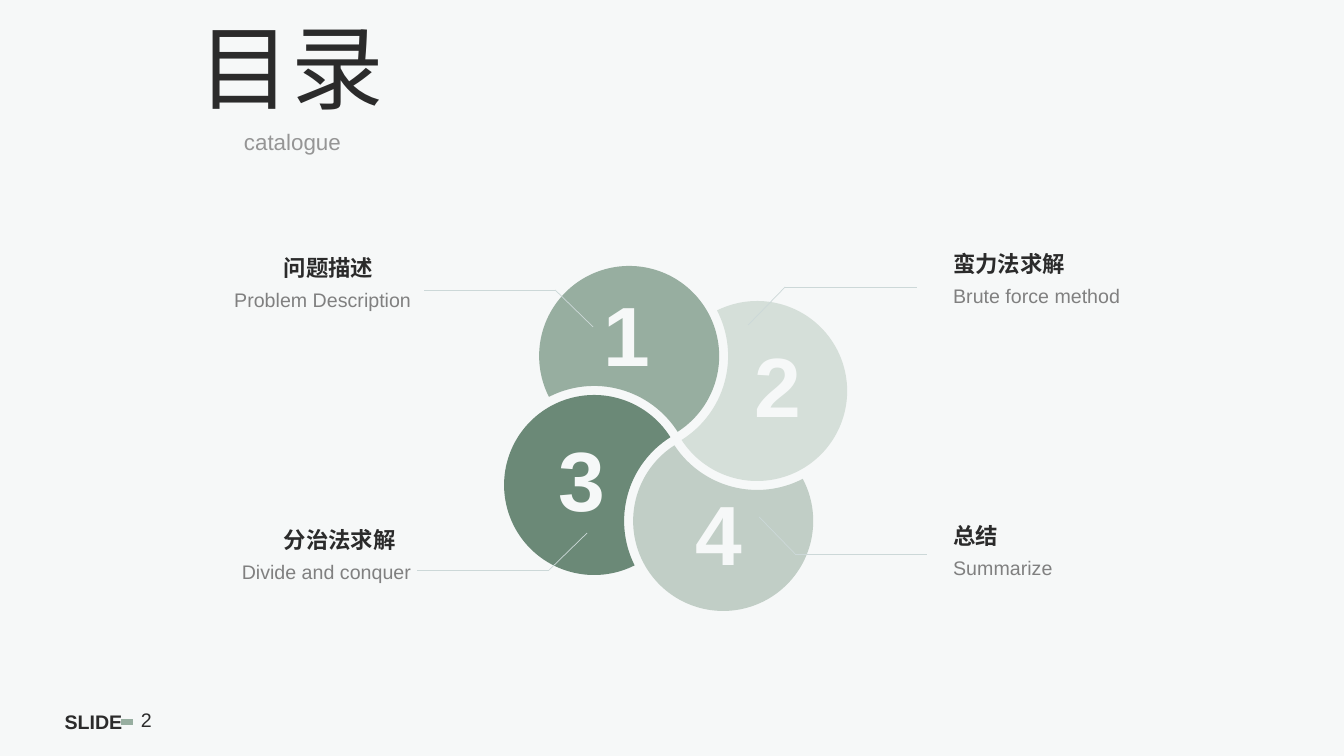
from math import acos, atan2, cos, hypot, pi, sin, tan
from typing import NamedTuple

from lxml.etree import SubElement
from pptx import Presentation
from pptx.dml.color import RGBColor
from pptx.enum.shapes import MSO_CONNECTOR as Connector
from pptx.enum.text import MSO_ANCHOR as Anchor, PP_ALIGN as Align
from pptx.oxml.ns import qn
from pptx.util import Emu, Inches, Pt

PAPER = RGBColor(0xF6, 0xF8, 0xF8)
INK = RGBColor(0x2B, 0x2B, 0x2B)
CAPTION_GREY = RGBColor(0x80, 0x80, 0x80)
SUBTITLE_GREY = RGBColor(0x95, 0x95, 0x95)
LEADER_GREY = RGBColor(0xCC, 0xD8, 0xD8)
SAGE = RGBColor(0x97, 0xAE, 0xA0)
MIST = RGBColor(0xD5, 0xDF, 0xD9)
PALE_SAGE = RGBColor(0xC1, 0xCE, 0xC6)
FOREST = RGBColor(0x6B, 0x89, 0x77)

PIXELS_PER_INCH = 100.8
PETAL_RADIUS, BITE_RADIUS = 90, 99

Point = tuple[float, float]


class Topic(NamedTuple):
    number: str
    heading: str
    caption: str
    heading_at: Point
    on_left: bool
    color: RGBColor
    center: Point
    number_at: Point
    leader: list[Point]


# Clockwise: each petal is cut by the one before it
TOPICS = [
    Topic("1", "问题描述", "Problem Description", (274, 249), True, SAGE,
          (629, 356), (566, 278), [(593, 327), (555, 290), (424, 290)]),
    Topic("2", "蛮力法求解", "Brute force method", (943, 245), False, MIST,
          (757, 391), (717, 329), [(748, 325), (785, 287), (917, 287)]),
    Topic("4", "总结", "Summarize", (943, 517), False, PALE_SAGE,
          (723, 521), (658, 477), [(759, 517), (795, 554), (927, 554)]),
    Topic("3", "分治法求解", "Divide and conquer", (274, 521), True, FOREST,
          (594, 485), (521, 423), [(587, 533), (549, 570), (417, 570)]),
]


def px(pixels: float) -> Emu:
    return Inches(pixels / PIXELS_PER_INCH)


def add_text(text: str, left: float, top: float, width: float, height: float, *,
             size: float, color: RGBColor = INK, bold: bool = False,
             font: str = "Arial", align: Align = Align.LEFT,
             anchor: Anchor = Anchor.TOP, line_spacing: float = 1.0,
             space_before: float = 0, wrap: bool = True) -> None:
    frame = slide.shapes.add_textbox(px(left), px(top), px(width), px(height)).text_frame
    frame.word_wrap = wrap
    frame.vertical_anchor = anchor
    paragraph = frame.paragraphs[0]
    paragraph.alignment = align
    paragraph.line_spacing = line_spacing
    paragraph.space_before = Pt(space_before)
    run = paragraph.add_run()
    run.text = text
    run.font.name, run.font.size, run.font.bold = font, Pt(size), bold
    run.font.color.rgb = color


def add_line(shapes, start: Point, end: Point, color: RGBColor, weight: float) -> None:
    line = shapes.add_connector(Connector.STRAIGHT, *map(px, start + end))
    line.line.color.rgb = color
    line.line.width = Pt(weight)
    SubElement(line._element.spPr, qn("a:effectLst"))


def arc(center: Point, radius: float, first: float, last: float,
        curves: int) -> list[Point]:
    """Give the start of an arc, then three Bezier points for each curve."""
    step = (last - first) / curves
    reach = 4 / 3 * tan(step / 4)

    def at(angle: float, pull: float = 0) -> Point:
        return (px(center[0] + radius * (cos(angle) - pull * sin(angle))),
                px(center[1] + radius * (sin(angle) + pull * cos(angle))))

    points = [at(first)]
    for i in range(curves):
        begin, end = first + i * step, first + (i + 1) * step
        points += [at(begin, reach), at(end, -reach), at(end)]
    return points


def add_petal(center: Point, cutter: Point, color: RGBColor) -> None:
    """Draw a disc with a concave bite around the cutter's centre."""
    dx, dy = cutter[0] - center[0], cutter[1] - center[1]
    gap, toward = hypot(dx, dy), atan2(dy, dx)
    r, bite = PETAL_RADIUS, BITE_RADIUS
    outer = acos((gap**2 + r**2 - bite**2) / (2 * gap * r))
    inner = acos((gap**2 + bite**2 - r**2) / (2 * gap * bite))
    rim = arc(center, r, toward + outer, toward + 2 * pi - outer, 4)
    cut = arc(cutter, bite, toward + pi + inner, toward + pi - inner, 2)
    builder = slide.shapes.build_freeform(*rim[0])
    builder.add_line_segments(rim[1:] + cut[1:], close=True)
    petal = builder.convert_to_shape()
    # Turn each three line points into one curve
    lines = list(petal._element.iter(qn("a:lnTo")))
    for i in range(0, len(lines), 3):
        curve = lines[i].makeelement(qn("a:cubicBezTo"))
        lines[i].addprevious(curve)
        for line in lines[i:i + 3]:
            curve.append(line[0])
            line.getparent().remove(line)
    petal.shadow.inherit = False
    petal.fill.solid()
    petal.fill.fore_color.rgb = color
    petal.line.fill.background()


def add_leader(points: list[Point]) -> None:
    leader = slide.shapes.add_group_shape()
    for start, end in zip(points, points[1:]):
        add_line(leader.shapes, start, end, LEADER_GREY, 0.5)


def add_label(topic: Topic) -> None:
    left, top = topic.heading_at
    add_text(topic.caption, 46 if topic.on_left else left, top + 32, 375, 81,
             size=14, color=CAPTION_GREY, line_spacing=1.1,
             align=Align.RIGHT if topic.on_left else Align.LEFT)
    add_text(topic.heading, left, top, 147, 37, size=16, bold=True)


deck = Presentation()
deck.slide_width, deck.slide_height = Inches(13.33), Inches(7.5)
slide = deck.slides.add_slide(deck.slide_layouts[6])
slide.background.fill.solid()
slide.background.fill.fore_color.rgb = PAPER

# Footer
add_text("2", 131, 703, 72, 34, size=14)
add_text("SLIDE", 52, 705, 83, 34, size=14, bold=True, align=Align.CENTER, wrap=False)
add_line(slide.shapes, (121, 722), (133, 722), SAGE, 4.5)

# Pinwheel of petals
for index, topic in enumerate(TOPICS):
    add_petal(topic.center, TOPICS[index - 1].center, topic.color)

# Numbers, leaders and labels
for topic in TOPICS:
    add_text(topic.number, *topic.number_at, 121, 112, size=60, color=PAPER,
             bold=True, align=Align.CENTER)
    add_leader(topic.leader)
    add_label(topic)

# Title
add_text("目录", 189, 42, 318, 62, size=66, font="Arial Narrow",
         anchor=Anchor.MIDDLE, line_spacing=0.9)
add_text("catalogue", 234, 126, 135, 48, size=16, color=SUBTITLE_GREY,
         line_spacing=0.9, space_before=10)

deck.save("out.pptx")
